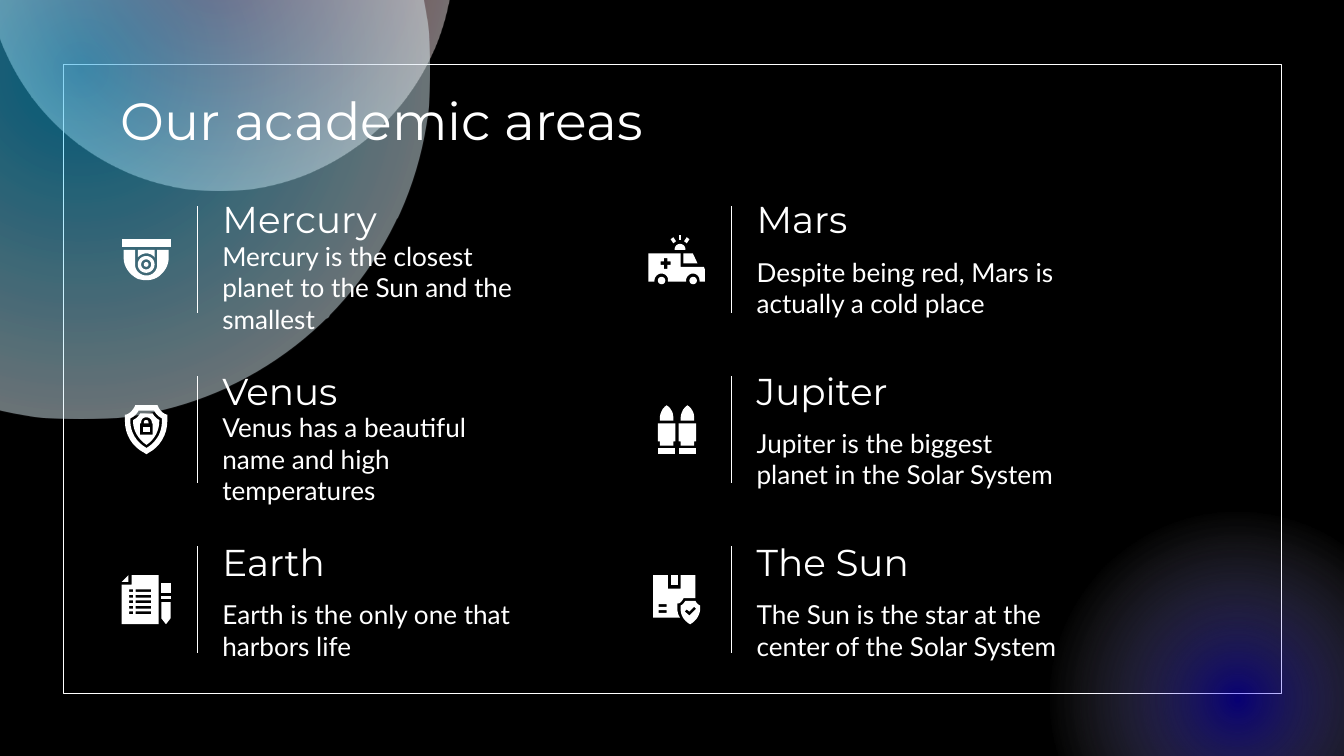
from dataclasses import dataclass
from math import cos, sin, tau

from pptx import Presentation
from pptx.dml.color import RGBColor
from pptx.enum.shapes import MSO_CONNECTOR as Link, MSO_SHAPE as Preset
from pptx.enum.text import MSO_ANCHOR as Anchor
from pptx.oxml import parse_xml
from pptx.oxml.ns import nsdecls, qn
from pptx.util import Inches, Pt


@dataclass(frozen=True)
class Theme:
    white: str = "FFFFFF"
    black: str = "000000"
    red: str = "E72755"
    violet: str = "1100FF"
    sky: str = "00BFFF"
    heading_font: str = "Montserrat"
    body_font: str = "Lato"
    title_size: int = 56
    heading_size: int = 40
    body_size: int = 28
    hairline: float = 0.75


def box(left, top, right, bottom):
    return [(left, top), (right, top), (right, bottom), (left, bottom)]


def disc(x, y, radius):
    return [(x + radius * cos(tau * i / 32), y + radius * sin(tau * i / 32)) for i in range(32)]


theme = Theme()
white = RGBColor.from_string(theme.white)
deck = Presentation()
deck.slide_width, deck.slide_height = Inches(20), Inches(11.25)
slide = deck.slides.add_slide(deck.slide_layouts[6])
slide.background.fill.solid()
slide.background.fill.fore_color.rgb = RGBColor.from_string(theme.black)

frame = slide.shapes.add_shape(Preset.RECTANGLE, Inches(0.94), Inches(0.96), Inches(18.13), Inches(9.36))
frame.shadow.inherit = False
frame.fill.background()
frame.line.color.rgb = white
frame.line.width = Pt(theme.hairline)

glows = [
    (-0.21, -4.11, 6.94, 0, theme.red, 46, 76, 46),
    (14.94, 6.93, 6.94, 0, theme.violet, 45, 57, 0),
    (-4.01, -4.17, 10.4, 29.8, theme.sky, 46, 57, 46),
]
for left, top, size, turn, core, core_alpha, reach, rim_alpha in glows:
    glow = slide.shapes.add_shape(Preset.OVAL, Inches(left), Inches(top), Inches(size), Inches(size))
    glow.shadow.inherit = False
    glow.rotation = turn
    glow.line.fill.background()
    glow.fill.gradient()
    stops = [(0, core, core_alpha), (reach, theme.white, rim_alpha), (100, theme.white, rim_alpha)]
    stop_xml = "".join(
        f'<a:gs pos="{at * 1000}"><a:srgbClr val="{color}"><a:alpha val="{alpha * 1000}"/></a:srgbClr></a:gs>'
        for at, color, alpha in stops
    )
    gradient = glow._element.spPr.find(qn("a:gradFill"))
    gradient.getparent().replace(gradient, parse_xml(
        f'<a:gradFill rotWithShape="1" {nsdecls("a")}><a:gsLst>{stop_xml}</a:gsLst><a:path path="circle">'
        '<a:fillToRect l="50000" t="50000" r="50000" b="50000"/></a:path></a:gradFill>'
    ))

areas = [
    ("Mercury", "Mercury is the closest planet to the Sun and the smallest"),
    ("Venus", "Venus has a beautiful name and high temperatures"),
    ("Earth", "Earth is the only one that harbors life"),
    ("Mars", "Despite being red, Mars is actually a cold place"),
    ("Jupiter", "Jupiter is the biggest planet in the Solar System"),
    ("The Sun", "The Sun is the star at the center of the Solar System"),
]
texts = [("Our academic areas", 1.59, 1.19, 16.82, 1.19, theme.heading_font, theme.title_size)]
for i, (planet, fact) in enumerate(areas):
    column, row = divmod(i, 3)
    left, top = 3.11 + 7.95 * column, 2.82 + 2.55 * row
    texts.append((planet, left, top, 5, 0.87, theme.heading_font, theme.heading_size))
    texts.append((fact, left, top + 0.86, 5, 1.19, theme.body_font, theme.body_size))
    rule_x, rule_top = Inches(left - 0.17), 3.07 + 2.53 * row
    rule = slide.shapes.add_connector(Link.STRAIGHT, rule_x, Inches(rule_top), rule_x, Inches(rule_top + 1.59))
    rule.line.color.rgb = white
    rule.line.width = Pt(theme.hairline)
    rule._element.spPr.append(parse_xml(f'<a:effectLst {nsdecls("a")}/>'))

for words, left, top, width, height, font, size in texts:
    holder = slide.shapes.add_textbox(Inches(left), Inches(top), Inches(width), Inches(height)).text_frame
    holder.word_wrap = True
    holder.vertical_anchor = Anchor.MIDDLE
    holder.margin_left = holder.margin_right = holder.margin_top = holder.margin_bottom = Inches(0.2)
    run = holder.paragraphs[0].add_run()
    run.text = words
    run.font.name = font
    run.font.size = Pt(size)
    run.font.color.rgb = white

camera = [
    [[(3, 17), (3, 29), (3, 42, 12, 54, 24, 60), (28, 61, 32, 62, 37, 62), (45, 62, 54, 59, 60, 52),
      (66, 46, 70, 38, 70, 29), (70, 17), (53, 17), (53, 39), (53, 48, 46, 55, 37, 55),
      (28, 55, 20, 48, 20, 39), (20, 17)]],
    [[(24, 17), (24, 28), (28, 24, 32, 22, 37, 22), (41, 22, 46, 24, 49, 28), (49, 17)]],
    [box(0, 0, 73, 12)],
    [disc(36.5, 38.5, 3.5)],
    [disc(36.5, 38.5, 7.5), disc(36.5, 38.5, 12.5)],
]
shield = [
    [[(32, 22), (30, 22, 28, 23, 28, 26), (28, 27), (35, 27), (35, 26), (35, 23, 33, 22, 32, 22)]],
    [box(27, 32, 37, 40)],
    [[(43, 8), (44, 9), (46, 13, 50, 17, 54, 19), (55, 20), (55, 24), (55, 32, 53, 40, 49, 47),
      (45, 53, 40, 59, 33, 63), (32, 64), (31, 63), (17, 55, 8, 40, 8, 24), (8, 20), (9, 19),
      (14, 17, 17, 13, 20, 9), (20, 8)],
     [(15, 0), (15, 1), (12, 7, 8, 12, 2, 14), (0, 14), (0, 24), (0, 44, 11, 62, 29, 71), (32, 73),
      (35, 71), (52, 62, 63, 44, 63, 24), (63, 14), (62, 14), (56, 12, 51, 7, 49, 1), (48, 0)]],
    [[(32, 18), (36, 18, 40, 21, 40, 26), (40, 27), (41, 27), (41, 44), (22, 44), (22, 27), (24, 27),
      (24, 26), (24, 21, 27, 18, 32, 18)],
     [(23, 12), (20, 16, 17, 20, 12, 22), (12, 24), (12, 38, 20, 51, 32, 59), (44, 51, 51, 38, 51, 24),
      (51, 22), (47, 20, 43, 16, 41, 12)]],
]
entries = [box(x, 21 + 8.25 * i, right, 25 + 8.25 * i) for i in range(5) for x, right in ((11, 17), (21, 44))]
document = [
    entries + [[(15, 0), (15, 14), (0, 14), (0, 73), (55, 73), (55, 0)]],
    [[(10, 0), (0, 10), (10, 10)]],
    [box(59, 31, 73, 36)],
    [box(59, 11, 73, 27)],
    [[(59, 40), (59, 64), (66, 73), (73, 64), (73, 40)]],
]
ambulance = [
    [box(45, 0, 49, 7)],
    [[(57, 3), (53, 9), (57, 12), (61, 6)]],
    [[(37, 3), (33, 6), (37, 12), (41, 9)]],
    [[(47, 13), (42, 13, 39, 17, 39, 21), (39, 22), (55, 22), (55, 21), (55, 17, 52, 13, 47, 13)]],
    [[(28, 34), (28, 39), (33, 39), (33, 44), (28, 44), (28, 50), (23, 50), (23, 44), (18, 44), (18, 39),
      (23, 39), (23, 34)],
     [(0, 27), (0, 69), (9, 69), (9, 67), (9, 62, 14, 57, 19, 57), (25, 57, 30, 62, 29, 67), (29, 69),
      (56, 69), (56, 67), (56, 62, 61, 57, 66, 57), (72, 57, 76, 62, 76, 67), (76, 69), (84, 69),
      (84, 52), (84, 50, 83, 48, 82, 47), (48, 47), (48, 27)]],
    [[(52, 27), (52, 42), (73, 42), (66, 27)]],
    [disc(19.5, 67.5, 5.5)],
    [disc(66.5, 67.5, 5.5)],
]
bullet = [
    [[(0, 27), (0, 54), (3, 54), (3, 60), (23, 60), (23, 54), (26, 54), (26, 27)]],
    [[(13, 0), (12, 1), (10, 2, 9, 4, 7, 6), (5, 10, 3, 14, 3, 19), (3, 23), (23, 23), (23, 19),
      (23, 14, 22, 10, 19, 6), (18, 4, 16, 2, 14, 1)]],
    [box(0, 64, 26, 73)],
]
parcel = [
    [box(27, 0, 37, 15)],
    [[(61, 47), (64, 50), (54, 60), (47, 54), (50, 51), (54, 54)],
     [(48, 38), (46, 41, 44, 44, 41, 45), (41, 49), (40, 59, 46, 68, 55, 73), (64, 68, 70, 59, 70, 49),
      (70, 45), (67, 44, 64, 41, 63, 38)]],
    [box(8, 43, 20, 47), box(8, 52, 20, 56),
     [(0, 0), (0, 63), (40, 63), (37, 59, 36, 54, 36, 49), (36, 42), (38, 42), (41, 41, 43, 38, 45, 35),
      (45, 34), (63, 34), (63, 0), (41, 0), (41, 20), (22, 20), (22, 0)]],
]
icons = [
    (camera, 3.55, [1.81]), (shield, 6.03, [1.86]), (document, 8.56, [1.81]),
    (ambulance, 3.5, [9.65]), (bullet, 6.03, [9.79, 10.1]), (parcel, 8.56, [9.72]),
]
unit = Inches(0.01)
for pieces, top, lefts in icons:
    icon = slide.shapes.add_group_shape()
    for left in lefts:
        for contours in pieces:
            outline = None
            for contour in contours:
                points = [contour[0]]
                for step in contour[1:]:
                    if len(step) == 2:
                        points.append(step)
                        continue
                    (x0, y0), (x1, y1, x2, y2, x3, y3) = points[-1], step
                    for t in (i / 8 for i in range(1, 9)):
                        a, b, c, d = (1 - t) ** 3, 3 * t * (1 - t) ** 2, 3 * t * t * (1 - t), t ** 3
                        points.append((a * x0 + b * x1 + c * x2 + d * x3, a * y0 + b * y1 + c * y2 + d * y3))
                points = [(x * unit, y * unit) for x, y in points]
                if outline is None:
                    outline = icon.shapes.build_freeform(*points[0])
                else:
                    outline.move_to(*points[0])
                outline.add_line_segments(points[1:], close=True)
            piece = outline.convert_to_shape(Inches(left), Inches(top))
            piece.shadow.inherit = False
            piece.fill.solid()
            piece.fill.fore_color.rgb = white
            piece.line.fill.background()

deck.save("out.pptx")
